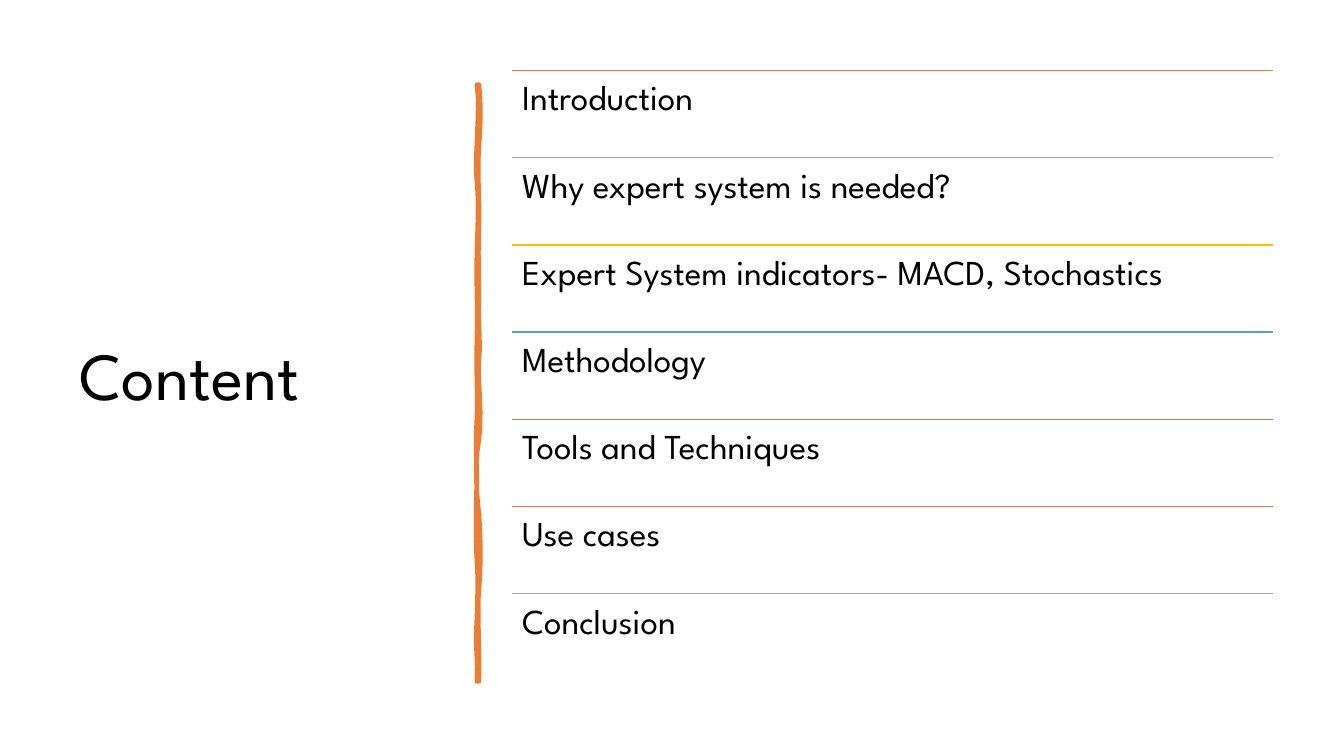
from dataclasses import dataclass

from lxml.etree import SubElement
from pptx import Presentation
from pptx.dml.color import RGBColor
from pptx.enum.shapes import MSO_CONNECTOR
from pptx.enum.text import MSO_ANCHOR
from pptx.oxml.ns import qn
from pptx.util import Inches, Pt


@dataclass(frozen=True)
class Theme:
    font: str = "League Spartan"
    text: str = "000000"
    background: str = "FFFFFF"
    brush: str = "ED7D31"
    rules: tuple = ("ED7D31", "A5A5A5", "FFC000", "5B9BD5", "70AD47")
    title_size: int = 48
    topic_size: int = 25


theme = Theme()


def add_text(shapes, words, left, top, width, height, size, inset, anchor):
    box = shapes.add_textbox(Inches(left), Inches(top), Inches(width), Inches(height))
    frame = box.text_frame
    frame.text = words
    frame.word_wrap = True
    frame.vertical_anchor = anchor
    frame.margin_left = frame.margin_right = Inches(0.1)
    frame.margin_top = frame.margin_bottom = Inches(inset)
    para = frame.paragraphs[0]
    para.line_spacing = 0.9
    span = para.runs[0]
    span.font.name = theme.font
    span.font.size = Pt(size)
    span.font.color.rgb = RGBColor.from_string(theme.text)


def curve_points(start, curves, steps=6):
    points = []
    for x1, y1, x2, y2, x3, y3 in curves:
        for step in range(1, steps + 1):
            t = step / steps
            weights = ((1 - t) ** 3, 3 * t * (1 - t) ** 2, 3 * t * t * (1 - t), t ** 3)
            x = sum(w * v for w, v in zip(weights, (start[0], x1, x2, x3)))
            y = sum(w * v for w, v in zip(weights, (start[1], y1, y2, y3)))
            points.append((Inches(x), Inches(y)))
        start = (x3, y3)
    return points


deck = Presentation()
deck.slide_width = Inches(13.33)
deck.slide_height = Inches(7.5)
page = deck.slides.add_slide(deck.slide_layouts[6])
page.background.fill.solid()
page.background.fill.fore_color.rgb = RGBColor.from_string(theme.background)

add_text(page.shapes, "Content", 0.69, 0.7, 3.74, 6.11, theme.title_size, 0.05, MSO_ANCHOR.MIDDLE)

brush_start = (4.75, 0.84)
brush_curves = [
    (4.77, 1.02, 4.77, 1.19, 4.75, 1.46),
    (4.73, 1.73, 4.76, 1.95, 4.75, 2.26),
    (4.74, 2.57, 4.75, 2.62, 4.75, 2.94),
    (4.74, 3.25, 4.77, 3.42, 4.75, 3.56),
    (4.73, 3.7, 4.79, 4.14, 4.75, 4.36),
    (4.71, 4.57, 4.72, 4.84, 4.75, 5.1),
    (4.77, 5.36, 4.77, 5.64, 4.75, 5.84),
    (4.73, 6.03, 4.76, 6.5, 4.75, 6.76),
    (4.74, 6.76, 4.73, 6.76, 4.73, 6.76),
    (4.74, 6.46, 4.71, 6.44, 4.73, 6.13),
    (4.74, 5.83, 4.74, 5.7, 4.73, 5.57),
    (4.72, 5.44, 4.72, 4.95, 4.73, 4.77),
    (4.73, 4.59, 4.71, 4.45, 4.73, 4.15),
    (4.74, 3.86, 4.72, 3.73, 4.73, 3.35),
    (4.74, 2.98, 4.72, 2.81, 4.73, 2.5),
    (4.74, 2.18, 4.75, 2, 4.73, 1.81),
    (4.7, 1.63, 4.77, 1.04, 4.73, 0.84),
]
builder = page.shapes.build_freeform(Inches(brush_start[0]), Inches(brush_start[1]))
builder.add_line_segments(curve_points(brush_start, brush_curves), close=True)
brush = builder.convert_to_shape()
brush.shadow.inherit = False
brush.fill.solid()
brush.fill.fore_color.rgb = RGBColor.from_string(theme.brush)
brush.line.color.rgb = RGBColor.from_string(theme.brush)
brush.line.width = Pt(3.25)
SubElement(brush.line._get_or_add_ln(), qn("a:round"))

topics = [
    "Introduction",
    "Why expert system is needed?",
    "Expert System indicators- MACD, Stochastics",
    "Methodology",
    "Tools and Techniques",
    "Use cases",
    "Conclusion",
]
list_left, list_top, list_width, row_height = 5.08, 0.7, 7.55, 0.865
topic_list = page.shapes.add_group_shape()
for index, topic in enumerate(topics):
    top = list_top + index * row_height
    rule = topic_list.shapes.add_connector(
        MSO_CONNECTOR.STRAIGHT,
        Inches(list_left), Inches(top), Inches(list_left + list_width), Inches(top),
    )
    rule.line.color.rgb = RGBColor.from_string(theme.rules[index % len(theme.rules)])
    rule.line.width = Pt(1)
    SubElement(rule._element.spPr, qn("a:effectLst"))
    add_text(topic_list.shapes, topic, list_left, top, list_width, row_height,
             theme.topic_size, 0.1, MSO_ANCHOR.TOP)

deck.save("out.pptx")
